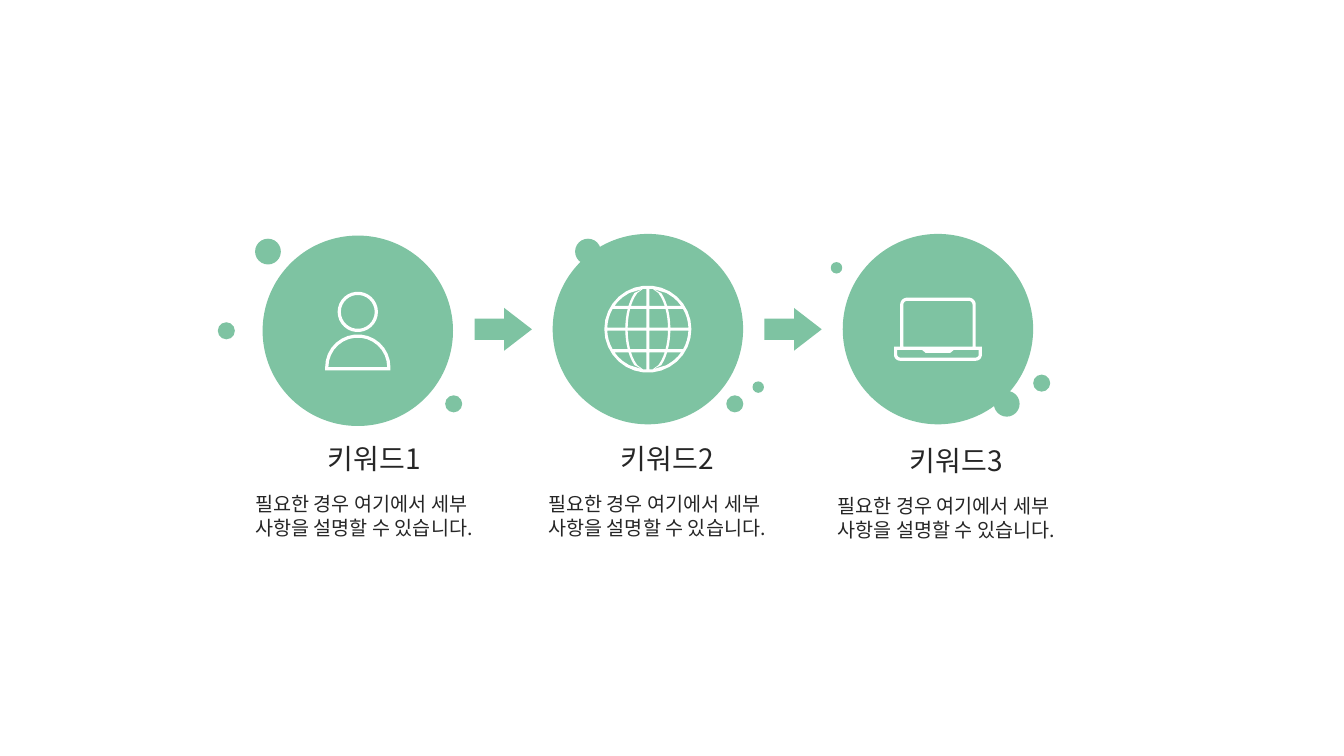
"""Build a slide with three keyword circles joined by arrows."""
from math import cos, pi, sin, sqrt

from lxml.etree import SubElement
from pptx import Presentation
from pptx.dml.color import RGBColor
from pptx.enum.shapes import MSO_SHAPE as Preset
from pptx.enum.text import MSO_AUTO_SIZE as AutoSize, PP_ALIGN as Align
from pptx.oxml.ns import qn
from pptx.util import Pt

COLORS = {"green": "7EC3A2", "white": "FFFFFF", "text": "262626"}
FONT = "Noto Sans CJK KR"
DETAIL = "필요한 경우 여기에서 세부 사항을 설명할 수 있습니다."
CIRCLE = 136


def write(shapes, text, left, top, width, height, size=14, align=Align.LEFT, wrap=True):
    box = shapes.add_textbox(Pt(left), Pt(top), Pt(width), Pt(height))
    frame = box.text_frame
    frame.word_wrap = wrap
    if not wrap:
        frame.auto_size = AutoSize.SHAPE_TO_FIT_TEXT
        frame.margin_left = frame.margin_right = 0
    para = frame.paragraphs[0]
    para.alignment = align
    span = para.add_run()
    span.text = text
    span.font.size = Pt(size)
    span.font.color.rgb = RGBColor.from_string(COLORS["text"])
    span.font.name = FONT
    SubElement(span._r.get_or_add_rPr(), qn("a:ea"), typeface=FONT)


def arc(x, y, radius, start=0, end=360):
    steps = max(3, (end - start) // 12)
    angles = [(start + (end - start) * i / steps) * pi / 180 for i in range(steps + 1)]
    return [(x + radius * cos(angle), y + radius * sin(angle)) for angle in angles]


person = [
    arc(0, -13.5, 14.4),
    arc(0, -13.5, 12.1),
    [(-23.3, 28.2)] + arc(0, 25.9, 23.3, 180, 360) + [(23.3, 28.2)],
    arc(0, 25.9, 21, 180, 360),
]

globe = [arc(0, 0, 31.1)]
for top, bottom in ((-28.8, -16.6), (-14.4, -1.1), (1.1, 14.4), (16.6, 28.8)):
    heights = [top + (bottom - top) * i / 4 for i in range(5)]
    inner, outer, rim = [
        [reach * sqrt(1 - (y / tall) ** 2) for y in heights]
        for reach, tall in ((14.4, 30.2), (16.1, 32.1), (29, 29))
    ]
    for side in (-1, 1):
        for near, far in (([1.1] * 5, inner), (outer, rim)):
            near_edge = [(side * min(x, r), y) for x, r, y in zip(near, rim, heights)]
            far_edge = [(side * min(x, r), y) for x, r, y in zip(far, rim, heights)]
            globe.append(near_edge + far_edge[::-1])

laptop = [
    [(-31.4, 12.5), (-27, 12.5)] + arc(-22, -17.5, 5, 180, 270)
    + arc(22, -17.5, 5, 270, 360) + [(27, 12.5), (31.4, 12.5)]
    + arc(27, 18.2, 4.4, 0, 90) + arc(-27, 18.2, 4.4, 90, 180),
    [(-24.7, 12.5)] + arc(-22, -17.5, 2.7, 180, 270)
    + arc(22, -17.5, 2.7, 270, 360) + [(24.7, 12.5)],
    [(-29.1, 14.8), (-11.4, 14.8), (-8.8, 17), (8.8, 17), (11.4, 14.8), (29.1, 14.8)]
    + arc(27, 18.2, 2.1, 0, 90) + arc(-27, 18.2, 2.1, 90, 180),
]

deck = Presentation()
deck.slide_width, deck.slide_height = Pt(960), Pt(540)
page = deck.slides.add_slide(deck.slide_layouts[6])
painted = []

for index, (icon, middle) in enumerate(((person, 236.3), (globe, 235.1), (laptop, 235.1))):
    center = 255.6 + 207.2 * index
    group = page.shapes.add_group_shape()
    circle = group.shapes.add_shape(
        Preset.OVAL, Pt(center - CIRCLE / 2), Pt(middle - CIRCLE / 2), Pt(CIRCLE), Pt(CIRCLE)
    )
    painted.append((circle, "green"))
    outlines = [[(Pt(center + x), Pt(middle + y)) for x, y in outline] for outline in icon]
    builder = group.shapes.build_freeform(*outlines[0][0], scale=1.0)
    for outline in outlines:
        if outline is not outlines[0]:
            builder.move_to(*outline[0])
        builder.add_line_segments(outline[1:], close=True)
    painted.append((builder.convert_to_shape(), "white"))

for left in (339, 546):
    arrow = page.shapes.add_shape(Preset.RIGHT_ARROW, Pt(left), Pt(220), Pt(41), Pt(30.5))
    arrow.adjustments[0], arrow.adjustments[1] = 0.5, 0.648
    painted.append((arrow, "green"))

for number, (left, top) in enumerate(((175.3, 311.8), (384.6, 311.8), (591.2, 313.2)), 1):
    group = page.shapes.add_group_shape()
    write(group.shapes, f"키워드{number}", left + 50.2, top, 83.5, 31.7,
          size=20, align=Align.CENTER, wrap=False)
    write(group.shapes, DETAIL, left, top + 36.2, 184.3, 41)

dots = (
    (182.2, 170.5, 18.4), (155.6, 230.2, 12.2), (318, 282.4, 12.2),
    (410.8, 170.5, 18.4), (537.5, 272.4, 8.2), (518.8, 282.4, 12.2),
    (709.9, 279.2, 18.4), (593.4, 187.2, 8.2), (738, 267.6, 12.2),
)
for left, top, size in dots:
    dot = page.shapes.add_shape(Preset.OVAL, Pt(left), Pt(top), Pt(size), Pt(size))
    painted.append((dot, "green"))

for shape, color in painted:
    shape.shadow.inherit = False
    shape.fill.solid()
    shape.fill.fore_color.rgb = RGBColor.from_string(COLORS[color])
    shape.line.fill.background()

deck.save("out.pptx")
